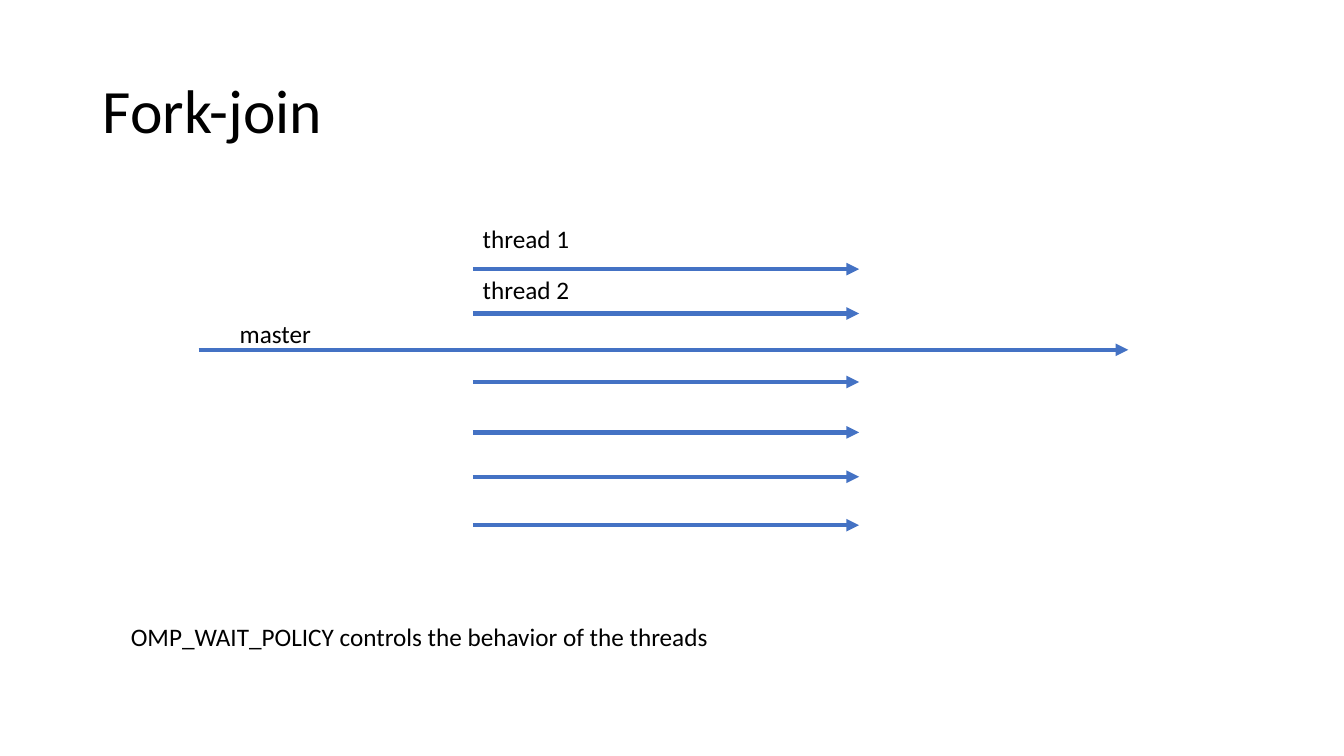
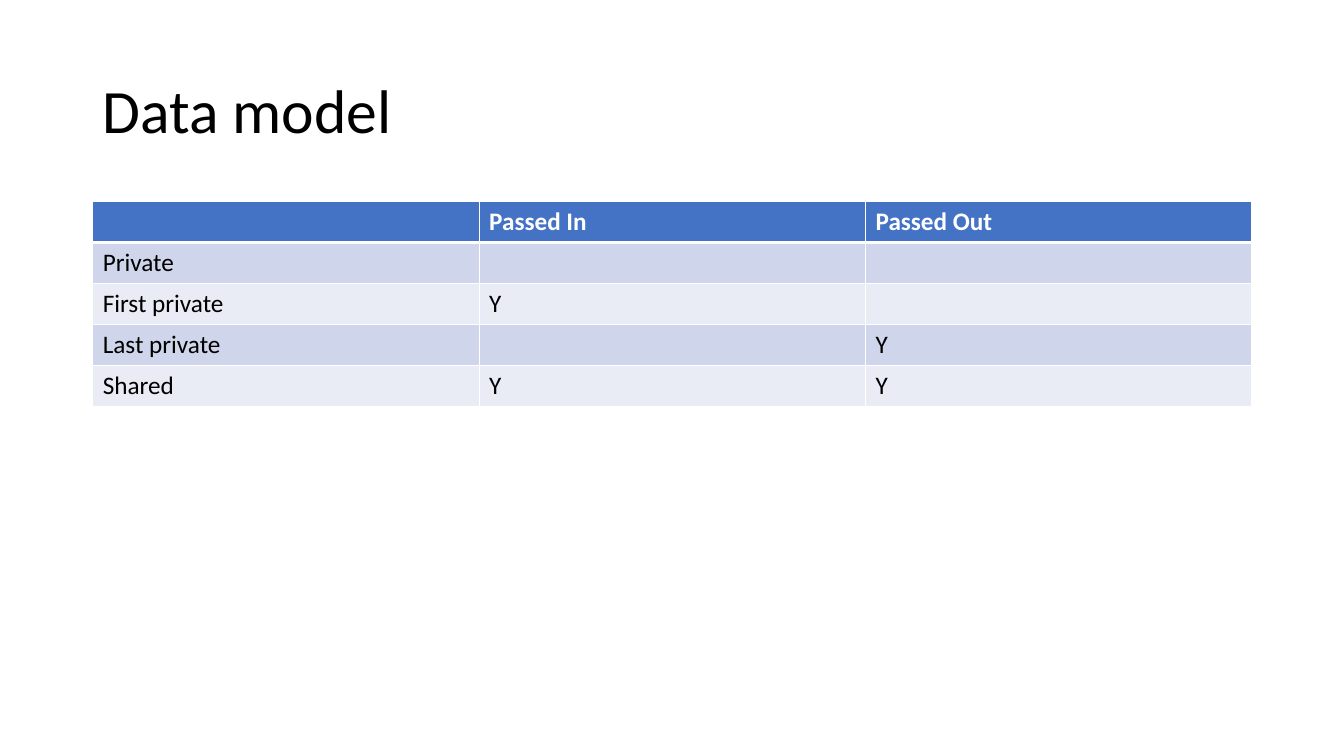
from lxml import etree
from pptx import Presentation
from pptx.dml.color import RGBColor
from pptx.enum.shapes import MSO_CONNECTOR
from pptx.enum.text import MSO_ANCHOR, MSO_AUTO_SIZE
from pptx.oxml.ns import qn
from pptx.util import Inches, Pt

STRAIGHT = MSO_CONNECTOR.STRAIGHT
MIDDLE = MSO_ANCHOR.MIDDLE
FIT_SHAPE = MSO_AUTO_SIZE.SHAPE_TO_FIT_TEXT

BLACK = RGBColor(0x00, 0x00, 0x00)
WHITE = RGBColor(0xFF, 0xFF, 0xFF)
BLUE = RGBColor(0x44, 0x72, 0xC4)
BANDS = (RGBColor(0xCF, 0xD5, 0xEA), RGBColor(0xE9, 0xEB, 0xF5))

# Positions and sizes are percentages of the slide's width and height
MARGIN, CONTENT_WIDTH = 6.9, 86.25


class DeckBuilder:
    """Holds the shared style and the current slide."""

    font = "Calibri"
    title_size, body_size = Pt(44), Pt(18)
    line_width = Pt(3)

    def __init__(self):
        self.deck = Presentation()
        self.deck.slide_width = Inches(13.33)
        self.deck.slide_height = Inches(7.5)
        self.page = None

    def x(self, percent):
        return round(self.deck.slide_width * percent / 100)

    def y(self, percent):
        return round(self.deck.slide_height * percent / 100)

    def new_page(self, title):
        self.page = self.deck.slides.add_slide(self.deck.slide_layouts[6])
        frame = self.text_box(MARGIN, 5.33, CONTENT_WIDTH, 19.33)
        frame.word_wrap = True
        frame.vertical_anchor = MIDDLE
        para = frame.paragraphs[0]
        para.line_spacing = 0.9
        self.span(para, title, self.title_size)

    def text_box(self, left, top, width, height):
        box = self.page.shapes.add_textbox(
            self.x(left), self.y(top), self.x(width), self.y(height))
        return box.text_frame

    def span(self, para, text, size, color=BLACK, bold=False):
        span = para.add_run()
        span.text = text
        span.font.name = self.font
        span.font.size = size
        span.font.bold = bold
        span.font.color.rgb = color

    def label(self, text, left, top, width):
        frame = self.text_box(left, top, width, 5.33)
        frame.word_wrap = False
        frame.auto_size = FIT_SHAPE
        self.span(frame.paragraphs[0], text, self.body_size)

    def arrow(self, start, end, level):
        arrow = self.page.shapes.add_connector(
            STRAIGHT, self.x(start), self.y(level), self.x(end), self.y(level))
        arrow.line.color.rgb = BLUE
        arrow.line.width = self.line_width
        etree.SubElement(arrow.line._get_or_add_ln(), qn("a:tailEnd"), type="triangle")
        etree.SubElement(arrow._element.spPr, qn("a:effectLst"))

    def borders(self, cell, **widths):
        properties = cell._tc.get_or_add_tcPr()
        for side in "LRTB":
            width = Pt(widths.get(side, 1))
            border = etree.SubElement(properties, qn(f"a:ln{side}"), w=str(width))
            fill = etree.SubElement(border, qn("a:solidFill"))
            etree.SubElement(fill, qn("a:srgbClr"), val=str(WHITE))

    def table(self, rows, top, height):
        table = self.page.shapes.add_table(
            len(rows), len(rows[0]), self.x(MARGIN), self.y(top),
            self.x(CONTENT_WIDTH), self.y(height)).table
        table.horz_banding = False
        for row, texts in enumerate(rows):
            header = row == 0
            for column, text in enumerate(texts):
                cell = table.cell(row, column)
                # A thick rule parts the header from the body
                self.borders(cell, B=3 if header else 1, T=3 if row == 1 else 1)
                cell.fill.solid()
                cell.fill.fore_color.rgb = BLUE if header else BANDS[(row - 1) % 2]
                if text:
                    self.span(cell.text_frame.paragraphs[0], text, self.body_size,
                              WHITE if header else BLACK, header)


builder = DeckBuilder()

# Fork-join: one master arrow among the thread arrows
FORK, JOIN = 35.18, 63.92
builder.new_page("Fork-join")
builder.arrow(14.78, 83.95, 46.27)
for level in (35.6, 41.47, 50.53, 57.2, 63.07, 69.47):
    builder.arrow(FORK, JOIN, level)
builder.label("master", 17.1, 41.47, 6.9)
for text, top in (("thread 1", 28.93), ("thread 2", 35.6)):
    builder.label(text, FORK, top, 8.03)
builder.label("OMP_WAIT_POLICY controls the behavior of the threads", 9, 81.47, 44.94)

# Data model: which variables are passed in and out
builder.new_page("Data model")
builder.table([
    ("", "Passed In", "Passed Out"),
    ("Private", "", ""),
    ("First private", "Y", ""),
    ("Last private", "", "Y"),
    ("Shared", "Y", "Y"),
], top=26.67, height=27.07)

builder.deck.save("out.pptx")
